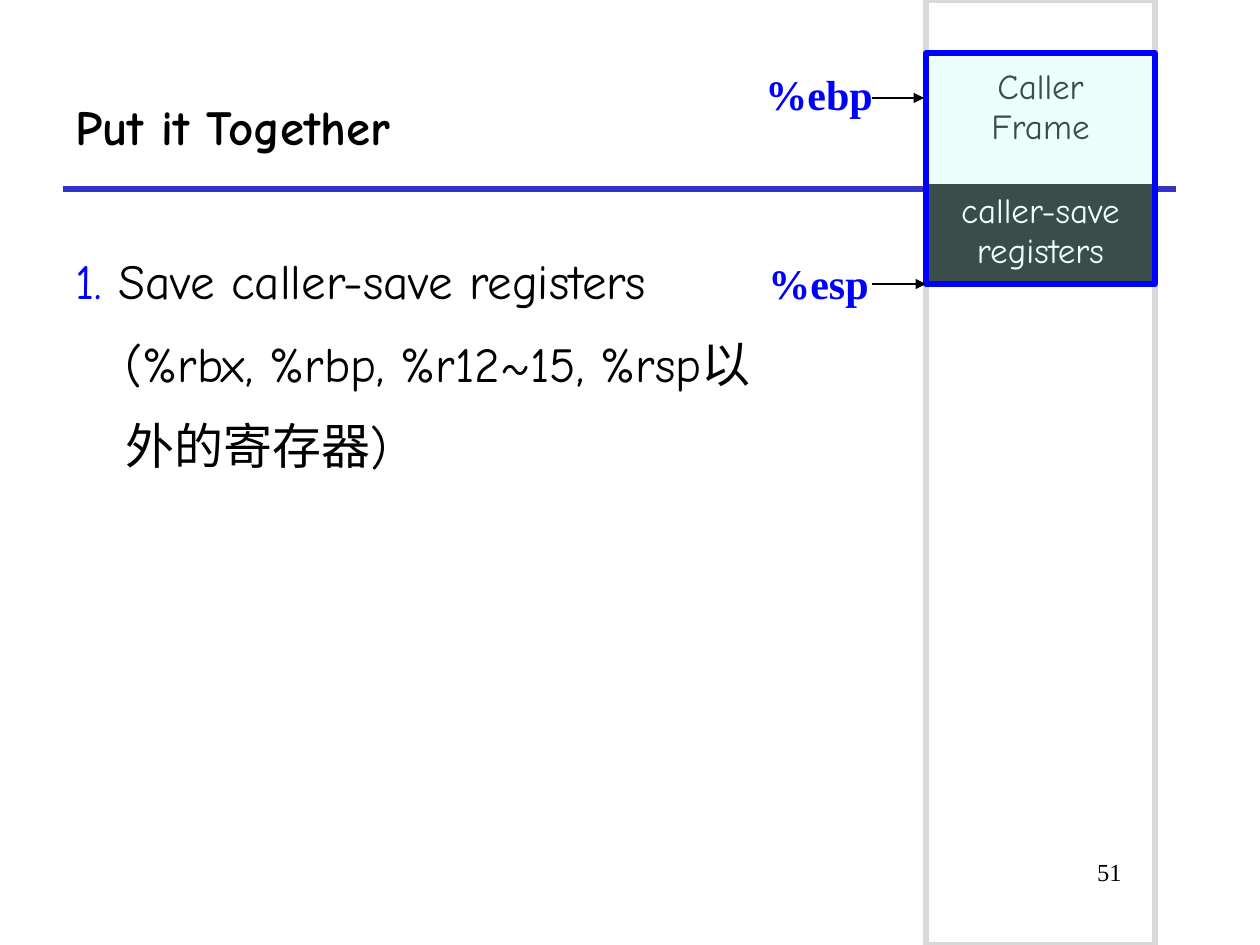
import dataclasses
import typing

import lxml.etree
import pptx
import pptx.dml.color
import pptx.enum.shapes
import pptx.enum.text
import pptx.oxml
import pptx.oxml.ns
import pptx.util

PX = 914400 / 126
COLORS = {
    "black": "000000",
    "white": "FFFFFF",
    "blue": "0000FF",
    "rule": "3333CC",
    "stack": "D9D9D9",
    "frame": "C2FFF0",
}
HAND = "Comic Neue"
SERIF = "Times New Roman"
ALIGN = pptx.enum.text.PP_ALIGN
STACK_LEFT, STACK_WIDTH = 926, 229
FRAME_TOP, FRAME_BOTTOM = 53, 284


@dataclasses.dataclass
class Box:
    left: int
    top: int
    width: int
    height: int

    def emu(self) -> list[int]:
        return [px(value) for value in dataclasses.astuple(self)]


@dataclasses.dataclass
class Style:
    size: int
    color: str = "black"
    font: str = HAND
    bold: bool = False


@dataclasses.dataclass
class Cell:
    text: str
    box: Box
    color: str
    fill: typing.Optional[str]
    margin_top: int


@dataclasses.dataclass
class Pointer:
    """A register label with the arrow from it to the stack."""
    text: str
    box: Box
    arrow_y: int
    arrow_end: int


CELLS = [
    Cell("caller-save registers", Box(STACK_LEFT, 186, STACK_WIDTH, FRAME_BOTTOM - 186),
         "white", "black", 6),
    Cell("Caller\nFrame", Box(STACK_LEFT, FRAME_TOP, STACK_WIDTH, FRAME_BOTTOM - FRAME_TOP),
         "black", None, 15),
]
POINTERS = [
    Pointer("%ebp", Box(753, 62, 134, 64), 98, 924),
    Pointer("%esp", Box(756, 251, 127, 64), 284, STACK_LEFT),
]


def px(value: int) -> int:
    return round(value * PX)


def rgb(name: str) -> pptx.dml.color.RGBColor:
    return pptx.dml.color.RGBColor.from_string(COLORS[name])


def add_spans(para, text: str, style: Style) -> None:
    """Adds one span a line, with line breaks between them."""
    for number, line in enumerate(text.split("\n")):
        if number:
            para.add_line_break()
        span = para.add_run()
        span.text = line
        formats = {"size": pptx.util.Pt(style.size), "name": style.font, "bold": style.bold}
        for name, value in formats.items():
            setattr(span.font, name, value)
        span.font.color.rgb = rgb(style.color)


def add_text(page, box: Box, text: str, style: Style, align=ALIGN.LEFT, wrap: bool = True):
    frame = page.shapes.add_textbox(*box.emu()).text_frame
    frame.word_wrap = wrap
    para = frame.paragraphs[0]
    para.alignment = align
    add_spans(para, text, style)
    return para


def add_line(page, start: tuple[int, int], end: tuple[int, int],
             color: str, width: float, arrow: bool = False) -> None:
    line = page.shapes.add_connector(
        pptx.enum.shapes.MSO_CONNECTOR.STRAIGHT, *map(px, start + end))
    line.line.color.rgb = rgb(color)
    line.line.width = pptx.util.Pt(width)
    if arrow:
        lxml.etree.SubElement(line.line._get_or_add_ln(),
                              pptx.oxml.ns.qn("a:tailEnd"), type="triangle")
    lxml.etree.SubElement(line._element.spPr, pptx.oxml.ns.qn("a:effectLst"))


def add_outline(page, box: Box, color: str, fill: typing.Optional[str] = None,
                opacity: int = 100) -> None:
    shape = page.shapes.add_shape(pptx.enum.shapes.MSO_SHAPE.RECTANGLE, *box.emu())
    shape.shadow.inherit = False
    shape.line.color.rgb = rgb(color)
    shape.line.width = pptx.util.Pt(3)
    if fill is None:
        shape.fill.background()
        return
    shape.fill.solid()
    shape.fill.fore_color.rgb = rgb(fill)
    solid = shape._element.spPr.find(pptx.oxml.ns.qn("a:solidFill"))
    lxml.etree.SubElement(solid[0], pptx.oxml.ns.qn("a:alpha"), val=str(opacity * 1000))


def add_cell(page, item: Cell) -> None:
    """Adds a bordered table of one cell."""
    table = page.shapes.add_table(1, 1, *item.box.emu()).table
    table.first_row = table.horz_banding = False
    cell = table.cell(0, 0)
    cell.margin_top = px(item.margin_top)
    para = cell.text_frame.paragraphs[0]
    para.alignment = ALIGN.CENTER
    add_spans(para, item.text, Style(20, item.color))
    properties = cell._tc.get_or_add_tcPr()
    for side in ("lnL", "lnR", "lnT", "lnB"):
        properties.append(pptx.oxml.parse_xml(
            f'<a:{side} {pptx.oxml.ns.nsdecls("a")} w="28575"><a:solidFill>'
            f'<a:srgbClr val="{COLORS["black"]}"/></a:solidFill></a:{side}>'))
    if item.fill:
        cell.fill.solid()
        cell.fill.fore_color.rgb = rgb(item.fill)
    else:
        cell.fill.background()


def add_title(page, box: Box, text: str) -> None:
    title = page.shapes.title
    for name, value in zip(("left", "top", "width", "height"), box.emu()):
        setattr(title, name, value)
    title.text_frame.vertical_anchor = pptx.enum.text.MSO_ANCHOR.MIDDLE
    para = title.text_frame.paragraphs[0]
    para.alignment = ALIGN.LEFT
    add_spans(para, text, Style(28, bold=True))


def add_step(page, box: Box, number: str, text: str) -> None:
    """Adds a numbered step with a hanging indent."""
    para = add_text(page, box, number, Style(28, "blue"))
    add_spans(para, text, Style(28))
    para.line_spacing = 1.4
    indent = px(50)
    for name, value in {"marL": indent, "indent": -indent}.items():
        para._p.get_or_add_pPr().set(name, str(value))


def main() -> None:
    deck = pptx.Presentation()
    deck.slide_width, deck.slide_height = px(1260), px(945)
    page = deck.slides.add_slide(deck.slide_layouts[5])

    add_title(page, Box(63, 63, 1113, 126), "Put it Together")
    add_line(page, (63, 189), (1176, 189), "rule", 3)
    add_outline(page, Box(STACK_LEFT, 0, STACK_WIDTH, 945), "stack")
    add_text(page, Box(955, 851, 179, 63), "51", Style(14, font=SERIF), ALIGN.RIGHT)
    add_step(page, Box(63, 221, 725, 609), "1. ",
             "Save caller-save registers \n(%rbx, %rbp, %r12~15, %rsp以外的寄存器)")

    for cell in CELLS:
        add_cell(page, cell)
    add_outline(page, Box(STACK_LEFT, FRAME_TOP, STACK_WIDTH, FRAME_BOTTOM - FRAME_TOP),
                "blue", "frame", 30)
    for pointer in POINTERS:
        add_text(page, pointer.box, pointer.text, Style(24, "blue", SERIF, True), wrap=False)
        add_line(page, (872, pointer.arrow_y), (pointer.arrow_end, pointer.arrow_y),
                 "black", 0.75, arrow=True)

    deck.save("out.pptx")


if __name__ == "__main__":
    main()
